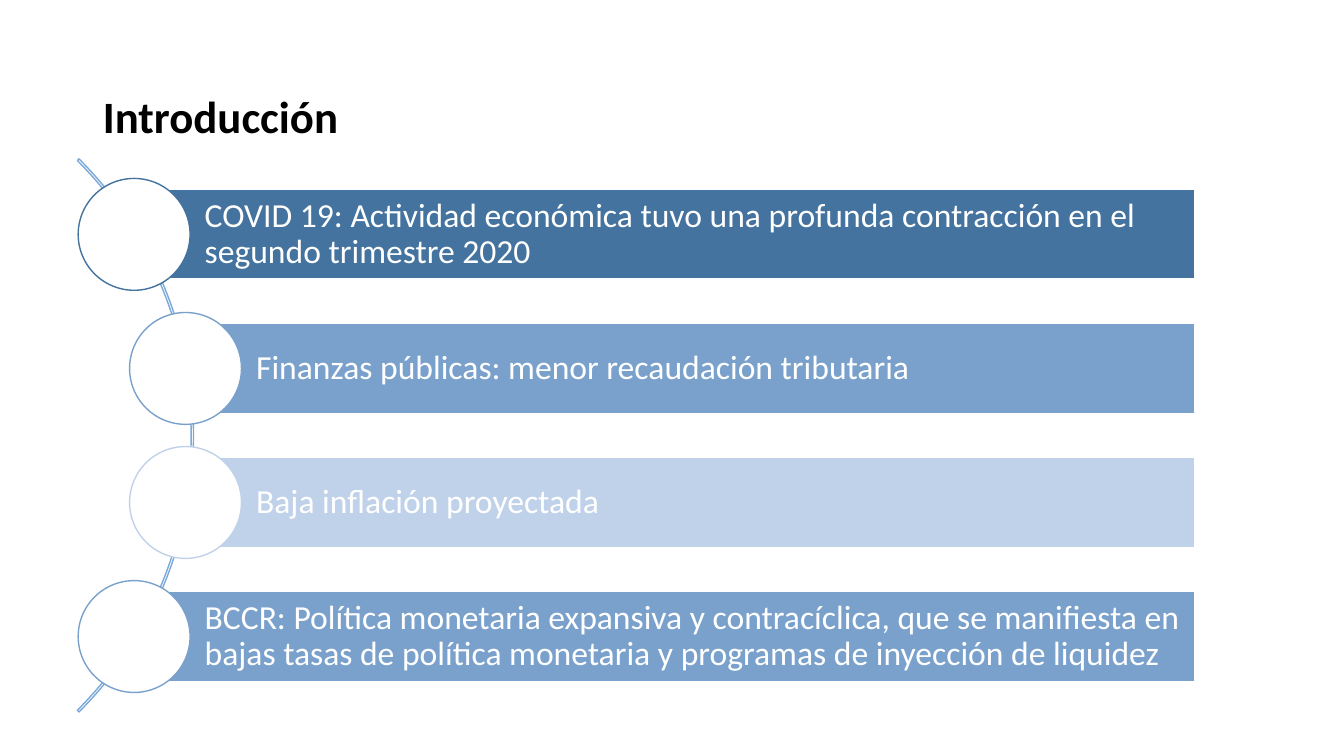
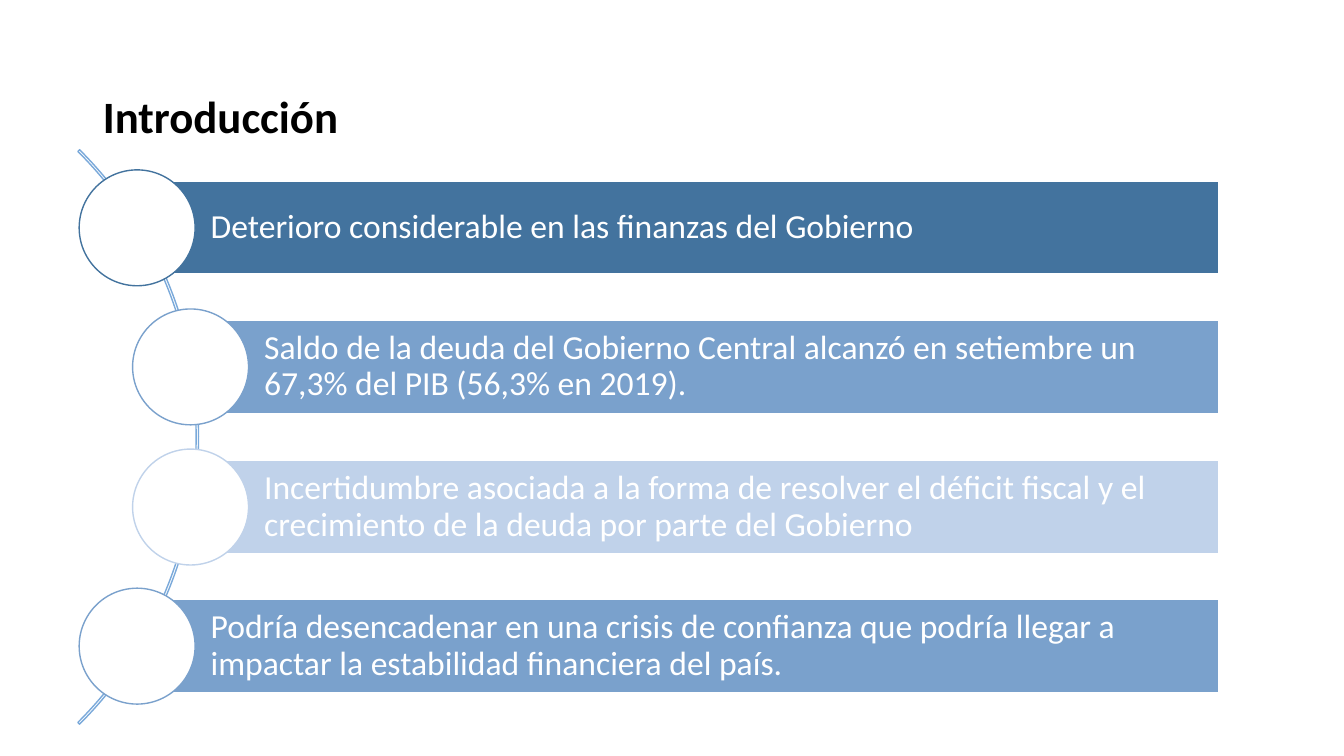
"""Build two introduction slides, each a curved list of four points."""
from dataclasses import dataclass

from pptx import Presentation
from pptx.dml.color import RGBColor
from pptx.enum.shapes import MSO_SHAPE
from pptx.enum.text import MSO_ANCHOR, MSO_AUTO_SIZE, PP_ALIGN
from pptx.util import Pt

ARC, BAR, DOT = MSO_SHAPE.BLOCK_ARC, MSO_SHAPE.RECTANGLE, MSO_SHAPE.OVAL
MIDDLE, LEFT, FIXED = MSO_ANCHOR.MIDDLE, PP_ALIGN.LEFT, MSO_AUTO_SIZE.NONE
SCALE = 9144
BLANK = 5


@dataclass(frozen=True)
class Theme:
    """Colours and type sizes of the deck."""
    font: str = "Calibri"
    ink: str = "000000"
    paper: str = "FFFFFF"
    curve: str = "7AA9DA"
    rows: tuple = ("43739E", "7AA1CC", "C0D2EA", "7AA1CC")
    title: int = 32
    tail: int = 44
    text: int = 24
    line: int = 1
    lead: float = 0.9


def px(num):
    """Turn px into EMU."""
    return int(num * SCALE)


def put(item, values):
    """Set attributes from a dict."""
    for name, value in values.items():
        setattr(item, name, value)


class Deck:
    """Hold the style and the current slide."""

    def __init__(self, theme):
        """Start a wide deck."""
        self.theme = theme
        self.file = Presentation()
        put(self.file, {"slide_width": px(1333), "slide_height": px(750)})
        self.slide = None

    def page(self, title):
        """Add a slide with its title."""
        look = self.theme
        self.slide = self.file.slides.add_slide(self.file.slide_layouts[BLANK])
        head = self.slide.shapes.title
        put(head, {"left": px(92), "top": px(40),
                   "width": px(1150), "height": px(145)})
        put(head.text_frame, {"vertical_anchor": MIDDLE, "word_wrap": True,
                              "auto_size": FIXED})
        self.label(head.text_frame, [(title, look.title, True),
                                     (" ", look.tail, False)], look.ink)

    def label(self, frame, runs, ink):
        """Fill a frame with one paragraph of runs."""
        line = frame.paragraphs[0]
        put(line, {"alignment": LEFT, "line_spacing": self.theme.lead})
        for words, size, bold in runs:
            run = line.add_run()
            run.text = words
            put(run.font, {"name": self.theme.font, "size": Pt(size),
                           "bold": bold})
            run.font.color.rgb = RGBColor.from_string(ink)

    def shape(self, kind, box, fill, edge):
        """Add a flat preset shape."""
        item = self.slide.shapes.add_shape(kind, *map(px, box))
        item.shadow.inherit = False
        if fill:
            item.fill.solid()
            item.fill.fore_color.rgb = RGBColor.from_string(fill)
        else:
            item.fill.background()
        item.line.color.rgb = RGBColor.from_string(edge)
        item.line.width = Pt(self.theme.line)
        return item

    def arc(self, right, mid, size):
        """Add the thin curve behind the points."""
        box = (right - size, mid - size / 2, size, size)
        item = self.shape(ARC, box, None, self.theme.curve)
        for spot, value in enumerate((189, 27, 3 / 1000)):
            item.adjustments[spot] = value

    def point(self, words, box, dot, inset, tint):
        """Add a text bar with a circle on its left end."""
        look = self.theme
        left, top, _, tall = box
        frame = self.shape(BAR, box, tint, look.paper).text_frame
        put(frame, {"vertical_anchor": MIDDLE, "word_wrap": True,
                    "margin_left": px(inset), "margin_right": px(7),
                    "margin_top": px(7), "margin_bottom": px(7)})
        self.label(frame, [(words, look.text, False)], look.paper)
        ring = (left - dot / 2, top + (tall - dot) / 2, dot, dot)
        self.shape(DOT, ring, look.paper, tint)

    def points(self, texts, left, right, step, top, last, tall, dot, inset,
               curve, size):
        """Add evenly spaced points along the curve."""
        self.arc(curve, (top + last + tall) / 2, size)
        end = len(texts) - 1
        for spot, (words, tint) in enumerate(zip(texts, self.theme.rows)):
            start = left + (step if 0 < spot < end else 0)
            high = round(top + (last - top) * spot / end)
            self.point(words, (start, high, right - start, tall),
                       dot, inset, tint)


PAGES = [
    (("COVID 19: Actividad económica tuvo una profunda contracción en el "
      "segundo trimestre 2020",
      "Finanzas públicas: menor recaudación tributaria",
      "Baja inflación proyectada",
      "BCCR: Política monetaria expansiva y contracíclica, que se manifiesta "
      "en bajas tasas de política monetaria y programas de inyección de "
      "liquidez"),
     {"left": 133, "right": 1185, "step": 51, "top": 188, "last": 587,
      "tall": 89, "dot": 111, "inset": 70, "curve": 192, "size": 776}),
    (("Deterioro considerable en las finanzas del Gobierno",
      "Saldo de la deuda del Gobierno Central alcanzó en setiembre un 67,3% "
      "del PIB (56,3% en 2019).",
      "Incertidumbre asociada a la forma de resolver el déficit fiscal y el "
      "crecimiento de la deuda por parte del Gobierno",
      "Podría desencadenar en una crisis de confianza que podría llegar a "
      "impactar la estabilidad financiera del país."),
     {"left": 136, "right": 1209, "step": 53, "top": 180, "last": 595,
      "tall": 92, "dot": 115, "inset": 73, "curve": 197, "size": 806}),
]


def main():
    """Build and save the deck."""
    deck = Deck(Theme())
    for texts, grid in PAGES:
        deck.page("Introducción")
        deck.points(texts, **grid)
    deck.file.save("out.pptx")


if __name__ == "__main__":
    main()
